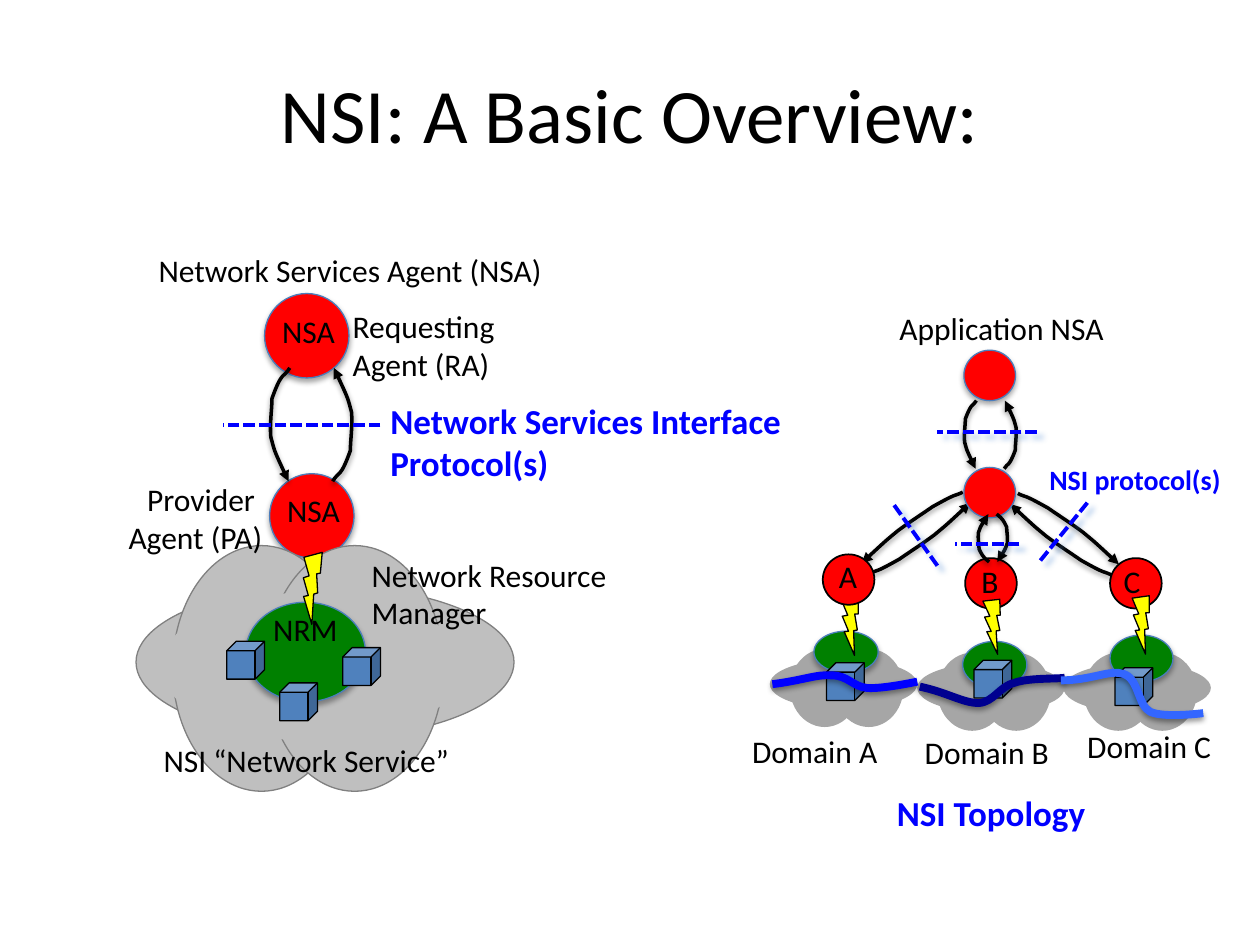
from dataclasses import dataclass
from math import cos, radians, sin

from lxml import etree
from pptx import Presentation
from pptx.dml.color import RGBColor
from pptx.enum.dml import MSO_LINE
from pptx.enum.shapes import MSO_CONNECTOR, MSO_SHAPE
from pptx.enum.text import MSO_ANCHOR, MSO_AUTO_SIZE, PP_ALIGN
from pptx.oxml.ns import qn
from pptx.util import Inches, Pt

OVAL, CUBE, BOLT = MSO_SHAPE.OVAL, MSO_SHAPE.CUBE, MSO_SHAPE.LIGHTNING_BOLT
STRAIGHT, DASH = MSO_CONNECTOR.STRAIGHT, MSO_LINE.SQUARE_DOT
LEFT, CENTER, RIGHT = PP_ALIGN.LEFT, PP_ALIGN.CENTER, PP_ALIGN.RIGHT
TOP, MIDDLE = MSO_ANCHOR.TOP, MSO_ANCHOR.MIDDLE


@dataclass(frozen=True)
class Theme:
    font: str = "Calibri"
    title: int = 44
    heading: int = 20
    body: int = 18
    note: int = 16
    black: str = "000000"
    blue: str = "0000FF"
    agent: str = "FF0000"
    manager: str = "008000"
    edge: str = "4B7EBC"
    cube: str = "4F81BD"
    bolt: str = "FFFF00"
    service: str = "BFBFBF"
    service_edge: str = "808080"
    cloud: str = "A6A6A6"
    wave_b: str = "000090"
    wave_c: str = "3366FF"
    # colour, opacity %, blur pt, distance pt, direction degrees
    node_shadow: tuple = (black, 35, 3.15, 1.8, 90)
    curve_shadow: tuple = (black, 38, 3.15, 1.6, 90)
    dash_shadow: tuple = ("558ED5", 38, 3.15, 4.6, 41)


THEME = Theme()

# One arrow of an exchange: (share of bow, share of length) at each Bezier point
ARC = [(0, 0), (.3, .09), (.38, .02), (.88, .27), (.88, .36), (1, .49),
       (.94, .61), (.75, .73), (.88, .69), (.06, 1)]

WAVES = [
    (THEME.blue, [(6.13, 5.43), (6.37, 5.4), (6.48, 5.35), (6.6, 5.36), (6.73, 5.36),
                  (6.77, 5.45), (6.88, 5.46), (7, 5.47), (7.28, 5.41), (7.28, 5.41)]),
    (THEME.wave_b, [(7.3, 5.45), (7.53, 5.5), (7.64, 5.58), (7.77, 5.58), (7.89, 5.57),
                    (7.93, 5.45), (8.05, 5.42), (8.16, 5.38), (8.37, 5.39), (8.45, 5.38)]),
    (THEME.wave_c, [(8.42, 5.4), (8.67, 5.4), (8.81, 5.31), (8.92, 5.35), (9.04, 5.39),
                    (9.03, 5.6), (9.13, 5.65), (9.24, 5.7), (9.55, 5.66), (9.55, 5.66)]),
]


def set_shadow(item, shadow=None):
    """Replace the inherited shadow by the given one, or by none."""
    effects = etree.SubElement(item.element.find(qn("p:spPr")), qn("a:effectLst"))
    if shadow:
        color, opacity, blur, distance, direction = shadow
        outer = etree.SubElement(effects, qn("a:outerShdw"), blurRad=str(Pt(blur)),
                                 dist=str(Pt(distance)), dir=str(direction * 60000),
                                 rotWithShape="0")
        tint = etree.SubElement(outer, qn("a:srgbClr"), val=color)
        etree.SubElement(tint, qn("a:alpha"), val=str(opacity * 1000))


def set_line(item, color, width):
    item.line.color.rgb = RGBColor.from_string(color)
    item.line.width = Pt(width)


def add_text(slide, text, box, size=THEME.body, color=THEME.black, bold=False,
             align=LEFT, anchor=TOP, wrap=False):
    frame = slide.shapes.add_textbox(*map(Inches, box)).text_frame
    frame.word_wrap = wrap
    frame.auto_size = MSO_AUTO_SIZE.NONE if anchor == MIDDLE else MSO_AUTO_SIZE.SHAPE_TO_FIT_TEXT
    frame.vertical_anchor = anchor
    frame.text = text
    for paragraph in frame.paragraphs:
        paragraph.alignment = align
        font = paragraph.font
        font.name, font.size, font.bold = THEME.font, Pt(size), bold
        font.color.rgb = RGBColor.from_string(color)


def add_figure(slide, preset, box, fill, edge=None, width=0.75, shadow=None, turn=0):
    figure = slide.shapes.add_shape(preset, *map(Inches, box))
    figure.rotation = turn
    figure.fill.solid()
    figure.fill.fore_color.rgb = RGBColor.from_string(fill)
    if edge:
        set_line(figure, edge, width)
    else:
        figure.line.fill.background()
    set_shadow(figure, shadow)


def add_node(slide, box, fill=THEME.agent):
    add_figure(slide, OVAL, box, fill, THEME.edge, shadow=THEME.node_shadow)


def add_cube(slide, left, top):
    add_figure(slide, CUBE, (left, top, 0.3, 0.3), THEME.cube, THEME.black)


def add_bolt(slide, left, top, height):
    add_figure(slide, BOLT, (left, top, 0.29, height), THEME.bolt, THEME.black, turn=26)


def add_boundary(slide, start, end, shadow=THEME.dash_shadow):
    boundary = slide.shapes.add_connector(STRAIGHT, *map(Inches, start + end))
    set_line(boundary, THEME.blue, 2.25)
    boundary.line.dash_style = DASH
    set_shadow(boundary, shadow)


def add_curve(slide, points, color, width, arrow=False):
    """Draw a start point followed by groups of three Bezier points."""
    start, *rest = [(Inches(x), Inches(y)) for x, y in points]
    builder = slide.shapes.build_freeform(*start)
    builder.add_line_segments(rest, close=False)
    curve = builder.convert_to_shape()
    segments = list(curve.element.iter(qn("a:lnTo")))
    for first in range(0, len(segments), 3):
        bezier = etree.Element(qn("a:cubicBezTo"))
        segments[first].addprevious(bezier)
        for segment in segments[first:first + 3]:
            bezier.append(segment[0])
            segment.getparent().remove(segment)
    curve.fill.background()
    set_line(curve, color, width)
    if arrow:
        etree.SubElement(curve.element.find(".//" + qn("a:ln")), qn("a:tailEnd"), type="triangle")
    set_shadow(curve, THEME.curve_shadow)


def add_exchange(slide, center, offset, bow, length, turn=0):
    """Two opposite arrows; a positive length makes the right one point up."""
    c, s = cos(radians(turn)), sin(radians(turn))
    for side in (1, -1):
        points = []
        for across, along in ARC:
            x, y = side * (offset + bow * across), side * length * (0.5 - along)
            points.append((center[0] + c * x - s * y, center[1] + s * x + c * y))
        add_curve(slide, points, THEME.black, 2, arrow=True)


def add_domain(slide, name, cloud, agent, manager, cube, bolt, letter, label, agent_on_top=False):
    left, top = cloud
    for dx, dy, width, height in ((0, 0, 1.17, 0.4), (0.16, -0.08, 0.55, 0.62),
                                  (0.51, -0.08, 0.55, 0.62)):
        add_figure(slide, OVAL, (left + dx, top + dy, width, height), THEME.cloud)

    def draw_agent():
        add_figure(slide, OVAL, agent + (0.41, 0.4), THEME.agent, THEME.black, 1)
        add_text(slide, name, letter + (0.38, 0.4))

    if not agent_on_top:
        draw_agent()
    add_node(slide, manager, THEME.manager)
    add_cube(slide, *cube)
    add_bolt(slide, *bolt)
    if agent_on_top:
        draw_agent()
    add_text(slide, f"Domain {name}", label + (1.21, 0.4))


def draw_service(slide):
    add_node(slide, (2.14, 3.76, 0.67, 0.67))
    for lobe in ((1.08, 4.65, 3, 1.21), (1.37, 4.33, 1.41, 1.95), (2.11, 4.33, 1.41, 1.95)):
        add_figure(slide, OVAL, lobe, THEME.service, THEME.service_edge)
    add_figure(slide, OVAL, (1.28, 4.7, 2.4, 1.18), THEME.service)
    add_node(slide, (2.1, 2.33, 0.67, 0.67))
    add_node(slide, (1.95, 4.78, 0.95, 0.79), THEME.manager)
    add_exchange(slide, (2.47, 3.37), 0.17, 0.16, 0.9)
    add_boundary(slide, (3.02, 3.37), (1.77, 3.37), shadow=None)
    for corner in ((1.8, 5.09), (2.22, 5.42), (2.72, 5.14)):
        add_cube(slide, *corner)
    add_text(slide, "Network Services Agent (NSA)", (1.16, 1.94, 3.28, 0.4))
    add_text(slide, "Requesting\nAgent (RA)", (2.7, 2.39, 1.49, 0.71))
    add_text(slide, "Provider \nAgent (PA)", (0.88, 3.76, 1.3, 0.71), align=RIGHT)
    add_text(slide, "NSA", (2.14, 2.43, 0.72, 0.4))
    add_text(slide, "NSA", (2.18, 3.85, 0.72, 0.4))
    add_text(slide, "NRM", (2.07, 4.79, 0.78, 0.4))
    add_text(slide, "Network Resource Manager", (2.85, 4.36, 2.35, 0.71), wrap=True)
    add_text(slide, "Network Services Interface\nProtocol(s)", (3, 3.12, 3.47, 0.77),
             size=THEME.heading, color=THEME.blue, bold=True)
    add_text(slide, "NSI “Network Service”", (1.2, 5.83, 2.64, 0.4), wrap=True)
    add_bolt(slide, 2.32, 4.37, 0.55)


def draw_topology(slide):
    add_domain(slide, "B", (7.28, 5.26), (7.66, 4.43), (7.64, 5.09, 0.51, 0.37),
               (7.73, 5.24), (7.73, 4.75, 0.4), (7.69, 4.41), (7.24, 5.77))
    add_domain(slide, "C", (8.44, 5.26), (8.81, 4.43), (8.81, 5.04, 0.5, 0.37),
               (8.85, 5.3), (8.91, 4.72, 0.43), (8.82, 4.41), (8.53, 5.72))
    add_node(slide, (7.65, 2.78, 0.41, 0.4))
    add_exchange(slide, (7.86, 3.45), 0.11, 0.1, 0.54)
    add_exchange(slide, (8.45, 4.24), 0.05, 0.05, -0.98, turn=-54.8)
    add_exchange(slide, (7.27, 4.23), -0.05, -0.05, -0.98, turn=54.8)
    add_node(slide, (7.65, 3.71, 0.41, 0.4))
    add_exchange(slide, (7.88, 4.27), 0.03, 0.09, -0.38)
    add_domain(slide, "A", (6.11, 5.23), (6.53, 4.4), (6.46, 5.01, 0.51, 0.33),
               (6.56, 5.26), (6.6, 4.73, 0.43), (6.56, 4.37), (5.87, 5.76), agent_on_top=True)
    for start, end in (((8.23, 3.43), (7.44, 3.43)), ((7.44, 4.49), (7.09, 4)),
                       ((8.63, 3.99), (8.24, 4.47)), ((8.09, 4.32), (7.58, 4.32))):
        add_boundary(slide, start, end)
    for color, points in WAVES:
        add_curve(slide, points, color, 4.5)
    add_text(slide, "Application NSA", (7.04, 2.4, 1.85, 0.4))
    add_text(slide, "NSI protocol(s)", (8.23, 3.62, 1.66, 0.37),
             size=THEME.note, color=THEME.blue, bold=True)
    add_text(slide, "NSI Topology", (7.02, 6.23, 1.8, 0.44),
             size=THEME.heading, color=THEME.blue, bold=True)


def main():
    deck = Presentation()
    deck.slide_width, deck.slide_height = Inches(10), Inches(7.5)
    slide = deck.slides.add_slide(deck.slide_layouts[6])
    add_text(slide, "NSI: A Basic Overview:", (0.5, 0.37, 9, 1.05), size=THEME.title,
             align=CENTER, anchor=MIDDLE, wrap=True)
    draw_service(slide)
    draw_topology(slide)
    deck.save("out.pptx")


if __name__ == "__main__":
    main()
